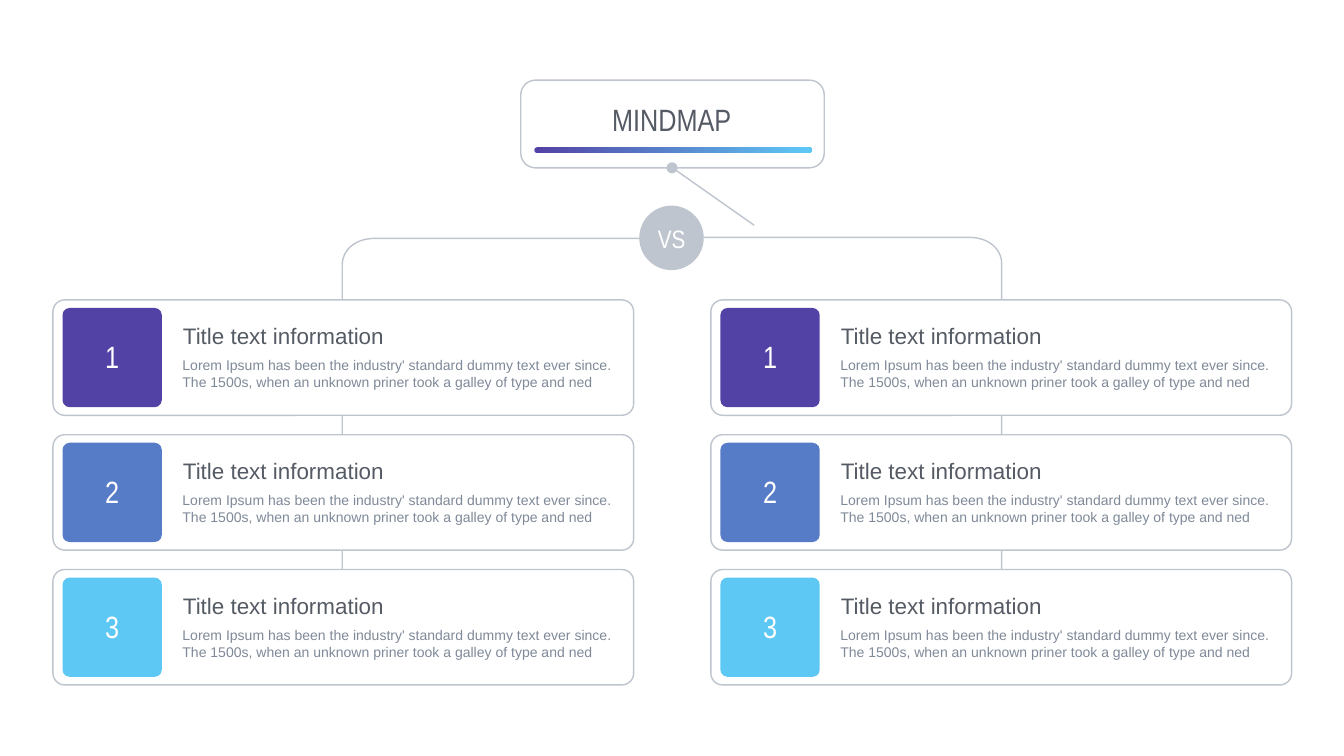
import pptx
import pptx.dml.color
import pptx.enum.shapes
import pptx.enum.text
import pptx.oxml
import pptx.util
from pptx.util import Inches

SHAPE = pptx.enum.shapes.MSO_SHAPE
ALIGN = pptx.enum.text.PP_ALIGN
ANCHOR = pptx.enum.text.MSO_ANCHOR

GREY, WHITE, INK, MUTED = "BFC5CE", "FFFFFF", "555B64", "7F8998"
PURPLE, BLUE, SKY = "5242A5", "567BC7", "5EC8F5"
DETAIL = ("Lorem Ipsum has been the industry' standard dummy text ever since. "
          "The 1500s, when an unknown priner took a galley of type and ned")


def colour(hex_value):
    return pptx.dml.color.RGBColor.from_string(hex_value)


def write(frame, text, size, ink, font="Arial", align=ALIGN.LEFT,
          anchor=ANCHOR.TOP, margins=(0.1, 0.05), wrap=True):
    frame.word_wrap = wrap
    frame.auto_size = pptx.enum.text.MSO_AUTO_SIZE.SHAPE_TO_FIT_TEXT
    frame.vertical_anchor = anchor
    frame.margin_left = frame.margin_right = Inches(margins[0])
    frame.margin_top = frame.margin_bottom = Inches(margins[1])
    paragraph = frame.paragraphs[0]
    paragraph.alignment = align
    run = paragraph.add_run()
    run.text = text
    run.font.name = font
    run.font.size = pptx.util.Pt(size)
    run.font.color.rgb = colour(ink)


class Mindmap:
    def __init__(self, slide, line_colour=GREY, line_width=2):
        self.slide = slide
        self.line_colour = line_colour
        self.line_width = pptx.util.Pt(line_width)

    def outline(self, line):
        line.color.rgb = colour(self.line_colour)
        line.width = self.line_width

    def shape(self, kind, box, fill=None, outlined=False, radius=None):
        shape = self.slide.shapes.add_shape(kind, *map(Inches, box))
        shape.shadow.inherit = False
        if radius is not None:
            shape.adjustments[0] = radius
        if fill:
            shape.fill.solid()
            shape.fill.fore_color.rgb = colour(fill)
        else:
            shape.fill.background()
        if outlined:
            self.outline(shape.line)
        else:
            shape.line.fill.background()
        return shape

    def gradient_bar(self, box, start, end):
        bar = self.shape(SHAPE.ROUNDED_RECTANGLE, box, radius=0.5)
        bar.fill.gradient()
        bar.fill.gradient_angle = 0
        for stop, hex_value in zip(bar.fill.gradient_stops, (start, end)):
            stop.color.rgb = colour(hex_value)

    def text(self, box, text, **style):
        label = self.slide.shapes.add_textbox(*map(Inches, box))
        write(label.text_frame, text, **style)

    def centred(self, box, text, size, ink=WHITE):
        self.text(box, text, size=size, ink=ink, font="Arial Narrow",
                  align=ALIGN.CENTER, anchor=ANCHOR.MIDDLE, margins=(0.06, 0.06))

    def pointer(self, source, end):
        pointer = self.slide.shapes.add_connector(
            pptx.enum.shapes.MSO_CONNECTOR.STRAIGHT, 0, 0, *map(Inches, end))
        pointer.begin_connect(source, 2)
        self.outline(pointer.line)
        pointer._element.spPr.append(pptx.oxml.parse_xml(
            '<a:effectLst xmlns:a="http://schemas.openxmlformats.org/drawingml/2006/main"/>'))

    def branch(self, x, y, side):
        corner = [(5.88, 0), (6.35, 0), (6.54, 0.29), (6.54, 0.52)]
        steps = 24
        points = []
        for step in range(steps + 1):
            t = step / steps
            weights = ((1 - t) ** 3, 3 * t * (1 - t) ** 2, 3 * t * t * (1 - t), t ** 3)
            points.append([sum(w * p[axis] for w, p in zip(weights, corner))
                           for axis in (0, 1)])
        points.append((6.54, 8.24))
        builder = self.slide.shapes.build_freeform(Inches(x), Inches(y), scale=1.0)
        builder.add_line_segments(
            [(Inches(x + side * dx), Inches(y + dy)) for dx, dy in points], close=False)
        branch = builder.convert_to_shape()
        branch.shadow.inherit = False
        branch.fill.background()
        self.outline(branch.line)

    def card(self, x, y, number, fill):
        self.shape(SHAPE.ROUNDED_RECTANGLE, (x, y, 11.52, 2.29), WHITE, True, 0.102)
        self.shape(SHAPE.ROUNDED_RECTANGLE, (x + 0.19, y + 0.16, 1.97, 1.97), fill, radius=0.072)
        self.centred((x + 0.19, y + 0.7, 1.97, 0.84), str(number), 44)
        self.text((x + 2.47, y + 1.08, 8.79, 0.77), DETAIL, size=20, ink=MUTED)
        self.text((x + 2.48, y + 0.39, 4.2, 0.64), "Title text information",
                  size=32, ink=INK, wrap=False)


def main():
    deck = pptx.Presentation()
    deck.slide_width, deck.slide_height = Inches(26.66), Inches(15)
    mindmap = Mindmap(deck.slides.add_slide(deck.slide_layouts[6]))

    mindmap.shape(SHAPE.OVAL, (13.22, 3.22, 0.22, 0.22), GREY)
    heading = mindmap.shape(SHAPE.ROUNDED_RECTANGLE, (10.33, 1.59, 6.02, 1.74),
                            outlined=True, radius=0.167)
    mindmap.gradient_bar((10.6, 2.92, 5.5, 0.12), PURPLE, SKY)
    mindmap.centred((11.11, 1.94, 4.43, 0.84), "MINDMAP", 44, INK)
    mindmap.pointer(heading, (14.96, 4.47))

    for side, branch_y, card_x in ((-1, 4.73, 1.05), (1, 4.71, 14.1)):
        mindmap.branch(13.33, branch_y, side)
        for row, fill in enumerate((PURPLE, BLUE, SKY)):
            mindmap.card(card_x, 5.95 + row * 2.675, row + 1, fill)

    mindmap.shape(SHAPE.OVAL, (12.68, 4.08, 1.28, 1.28), GREY)
    mindmap.centred((12.68, 4.37, 1.29, 0.71), "VS", 36)
    deck.save("out.pptx")


if __name__ == "__main__":
    main()
